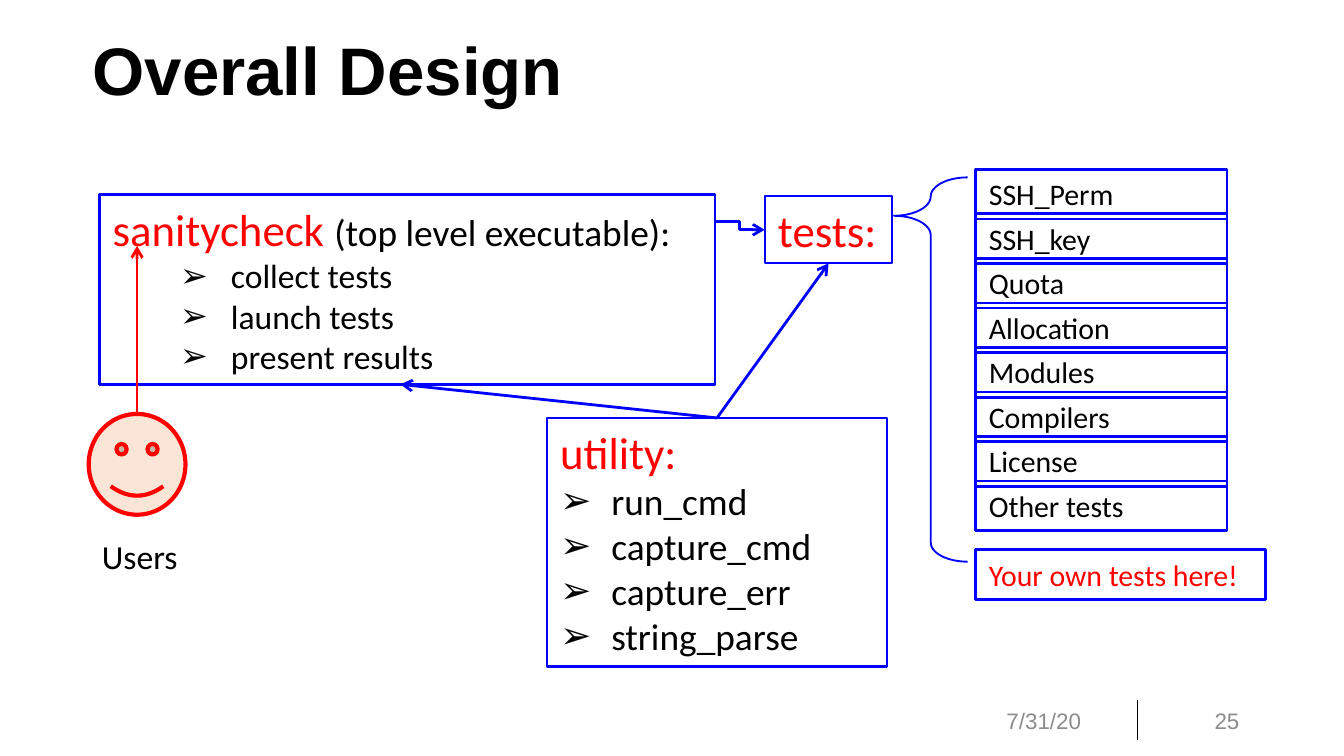
import pptx
import pptx.util
import pptx.dml.color
import pptx.enum.shapes
import pptx.enum.text
import pptx.oxml
import pptx.oxml.ns
import lxml.etree

Inches = pptx.util.Inches
SHAPE = pptx.enum.shapes.MSO_SHAPE
LINK = pptx.enum.shapes.MSO_CONNECTOR
ANCHOR = pptx.enum.text.MSO_ANCHOR
ALIGN = pptx.enum.text.PP_ALIGN
qn = pptx.oxml.ns.qn

COLORS = {"black": "000000", "grey": "8C8C8C", "blue": "0000FF",
          "red": "FF0000", "skin": "FBE5D6"}

# Content: a paragraph is a list of (text, size, colour) runs
title = [[("Overall Design", 36, "black")]]
date = [[("7/31/20", 12, "grey")]]
page_number = [[("25", 12, "grey")]]
users = [[("Users", 18, "black")]]
tests_heading = [[("tests:", 24, "red")]]
sanitycheck_heading = [("sanitycheck ", 24, "red"),
                       ("(top level executable):", 20, "black")]
sanitycheck_steps = ["collect tests", "launch tests", "present results"]
utility_heading = [("utility:", 24, "red")]
utility_functions = ["run_cmd", "capture_cmd", "capture_err", "string_parse"]
test_names = ["SSH_Perm", "SSH_key", "Quota", "Allocation",
              "Modules", "Compilers", "License", "Other tests"]
own_tests = [[("Your own tests here!", 16, "red")]]

# Places: left, top, width, height
SANITYCHECK = (0.74, 1.45, 4.58, 1.41)
UTILITY = (4.07, 3.11, 2.53, 1.85)
TESTS = (5.69, 1.46, 0.95, 0.5)
FACE = (0.66, 3.08, 0.72, 0.75)
LIST_LEFT, LIST_TOP, LIST_LAST = 7.26, 1.26, 3.58
ROW_STEP = (LIST_LAST - LIST_TOP) / (len(test_names) - 1)
ROW_WIDTH, ROW_HEIGHT = 1.87, 0.37

# Straight arrows: from, to, colour
utility_top = (UTILITY[0] + UTILITY[2] / 2, UTILITY[1])
arrows = [
    (utility_top, (TESTS[0] + TESTS[2] / 2, TESTS[1] + TESTS[3]), "blue"),
    (utility_top, (2.98, SANITYCHECK[1] + SANITYCHECK[3]), "blue"),
    ((1.02, FACE[1]), (1.02, 1.83), "red"),
]

# A 16:9 slide
prs = pptx.Presentation()
prs.slide_width = Inches(10)
prs.slide_height = prs.slide_width * 9 // 16
slide = prs.slides.add_slide(prs.slide_layouts[6])


def rgb(color):
    return pptx.dml.color.RGBColor.from_string(COLORS[color])


def add_outline(kind, place, color="blue", width=1.5, fill=None):
    shape = slide.shapes.add_shape(kind, *map(Inches, place))
    shape.shadow.inherit = False
    if fill:
        shape.fill.solid()
        shape.fill.fore_color.rgb = rgb(fill)
    else:
        shape.fill.background()
    shape.line.color.rgb = rgb(color)
    shape.line.width = pptx.util.Pt(width)
    return shape


def add_text(paragraphs, place, font="Calibri", bold=False, align=ALIGN.LEFT,
             anchor=ANCHOR.TOP, wrap=True, border=None, level=0, indent=0.38,
             spacing=None):
    """Writes paragraphs; every one after the first is a bullet."""
    if border:
        box = add_outline(SHAPE.RECTANGLE, place, width=border)
    else:
        box = slide.shapes.add_textbox(*map(Inches, place))
    frame = box.text_frame
    frame.word_wrap = wrap
    frame.vertical_anchor = anchor
    for number, runs in enumerate(paragraphs):
        paragraph = frame.add_paragraph() if number else frame.paragraphs[0]
        paragraph.alignment = align
        if spacing:
            paragraph.line_spacing = spacing
        for text, size, color in runs:
            run = paragraph.add_run()
            run.text = text
            run.font.name = font
            run.font.size = pptx.util.Pt(size)
            run.font.bold = bold
            run.font.color.rgb = rgb(color)
        if number:
            paragraph.level = level
            props = paragraph._p.get_or_add_pPr()
            props.set("marL", str(Inches(indent)))
            props.set("indent", str(-Inches(0.38)))
            lxml.etree.SubElement(props, qn("a:buFont")).set("typeface", "Arial")
            lxml.etree.SubElement(props, qn("a:buChar")).set("char", "\u27a2")


def add_link(start, end, color="blue", width=1.5, kind=LINK.STRAIGHT, arrow=True):
    link = slide.shapes.add_connector(kind, *map(Inches, start + end))
    link.line.color.rgb = rgb(color)
    link.line.width = pptx.util.Pt(width)
    if arrow:
        line = link.line._get_or_add_ln()
        lxml.etree.SubElement(line, qn("a:tailEnd")).set("type", "arrow")
    lxml.etree.SubElement(link._element.spPr, qn("a:effectLst"))


# Title and footer
add_link((8.46, 5.21), (8.46, 5.51), "black", 0.5, arrow=False)
add_text(title, (0.59, 0, 8.62, 1.09), font="Arial", bold=True,
         anchor=ANCHOR.MIDDLE, spacing=0.9)
add_text(date, (7.39, 5.21, 0.98, 0.3), font="Arial", anchor=ANCHOR.MIDDLE)
add_text(page_number, (8.57, 5.21, 0.75, 0.3), font="Arial",
         align=ALIGN.RIGHT, anchor=ANCHOR.MIDDLE)

# Program parts
add_text([sanitycheck_heading] + [[(step, 18, "black")] for step in sanitycheck_steps],
         SANITYCHECK, border=1.5, level=1, indent=0.88)
add_text([utility_heading] + [[(name, 20, "black")] for name in utility_functions],
         UTILITY, border=1.5)
add_text(tests_heading, TESTS, border=1, wrap=False)

# List of tests with its brace
for row, name in enumerate(test_names):
    add_text([[(name, 16, "black")]],
             (LIST_LEFT, LIST_TOP + row * ROW_STEP, ROW_WIDTH, ROW_HEIGHT), border=1.5)
add_text(own_tests, (LIST_LEFT, 4.09, 2.16, ROW_HEIGHT), border=1.5)
brace = add_outline(SHAPE.LEFT_BRACE, (6.65, 1.32, 0.55, 2.86), width=1)
brace.adjustments[0], brace.adjustments[1] = 1.08, 0.1

# Users
add_text(users, (0.66, 3.94, 0.78, 0.4), wrap=False)
add_outline(SHAPE.SMILEY_FACE, FACE, "red", 2.25, fill="skin")

# Arrows
add_link((5.32, 1.65), (5.69, 1.71), kind=LINK.ELBOW)
for start, end, color in arrows:
    add_link(start, end, color)

prs.save("out.pptx")
